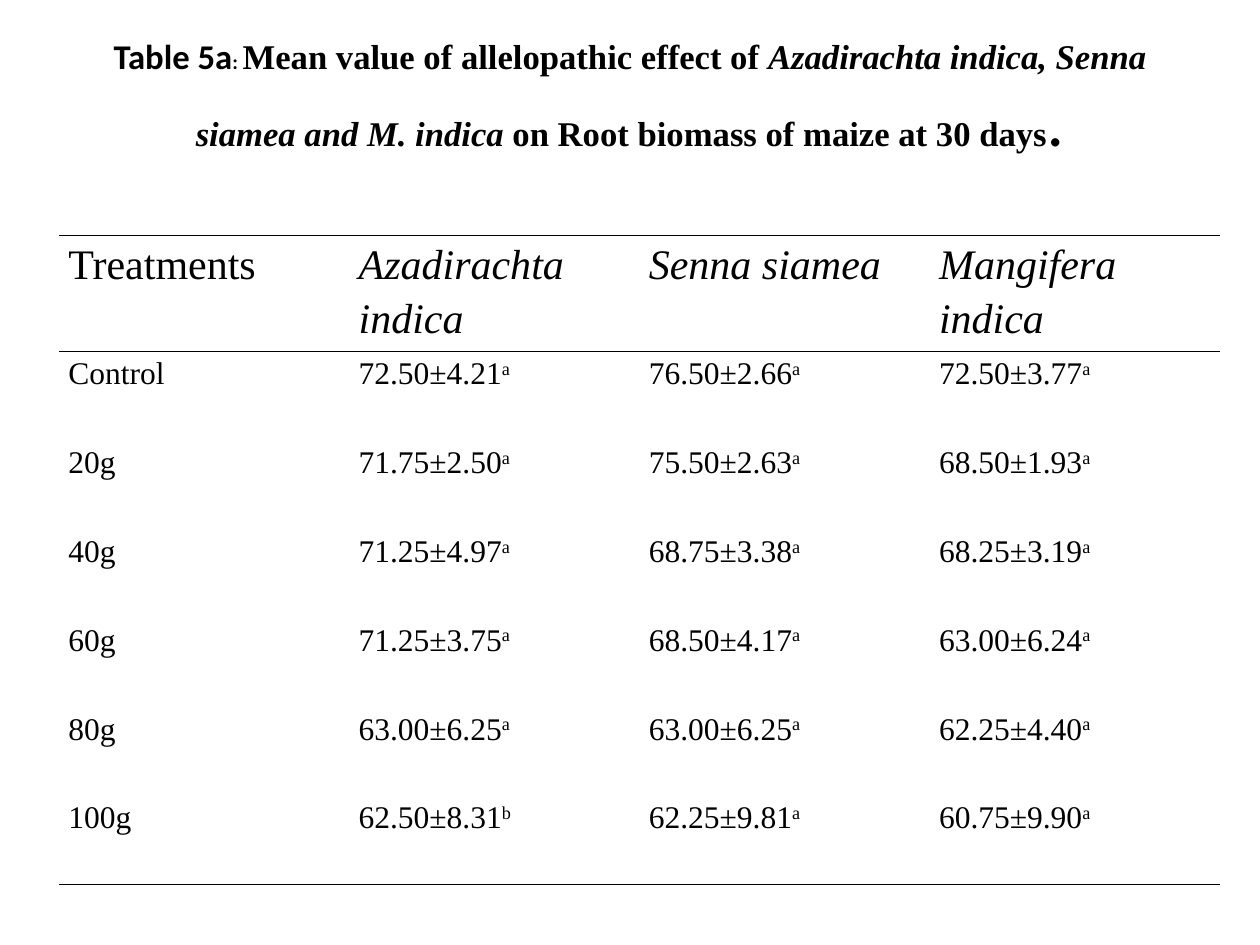
from dataclasses import dataclass, field

from lxml.etree import SubElement
from pptx import Presentation
from pptx.dml.color import RGBColor
from pptx.enum.text import MSO_ANCHOR as Anchor, PP_ALIGN as Align
from pptx.oxml.ns import qn
from pptx.util import Cm, Pt

BLACK = RGBColor(0x00, 0x00, 0x00)
SERIF, SANS = "Times New Roman", "Calibri"
COLUMN_WIDTH = Cm(5.85)
HEADER_HEIGHT, BODY_HEIGHT = Cm(2.16), Cm(1.79)


@dataclass
class Span:
    text: str
    size: float
    format: dict = field(default_factory=dict)
    raised: bool = False


@dataclass
class Treatment:
    dose: str
    means: list[str]
    groups: str = "aaa"  # significance letter of each mean


TITLE = [
    Span("Table 5a", 19.8, {"name": SANS, "bold": True}),
    Span(": ", 11.7, {"name": SANS, "bold": True}),
    Span("Mean value of allelopathic effect of ", 19.8, {"bold": True}),
    Span("Azadirachta indica, Senna siamea and M. indica", 19.8,
         {"bold": True, "italic": True}),
    Span(" on Root biomass of maize at 30 days", 19.8, {"bold": True}),
    Span(".", 39.6, {"name": SANS}),
]
SPECIES = ["Azadirachta indica", "Senna siamea", "Mangifera indica"]
TREATMENTS = [
    Treatment("Control", ["72.50±4.21", "76.50±2.66", "72.50±3.77"]),
    Treatment("20g", ["71.75±2.50", "75.50±2.63", "68.50±1.93"]),
    Treatment("40g", ["71.25±4.97", "68.75±3.38", "68.25±3.19"]),
    Treatment("60g", ["71.25±3.75", "68.50±4.17", "63.00±6.24"]),
    Treatment("80g", ["63.00±6.25", "63.00±6.25", "62.25±4.40"]),
    Treatment("100g", ["62.50±8.31", "62.25±9.81", "60.75±9.90"], "baa"),
]


def write_spans(paragraph, spans: list[Span]) -> None:
    for span in spans:
        run = paragraph.add_run()
        run.text = span.text
        run.font.color.rgb = BLACK
        values = {"name": SERIF, "size": Pt(span.size), "bold": False,
                  "italic": False} | span.format
        for key, value in values.items():
            setattr(run.font, key, value)
        if span.raised:
            run._r.get_or_add_rPr().set("baseline", "30000")


def rule_cell(cell, ruled_sides: str) -> None:
    """Draw black rules on the named sides and leave the others open."""
    properties = cell._tc.get_or_add_tcPr()
    for side in "LRTB":
        line = SubElement(properties, qn(f"a:ln{side}"), w=str(Pt(1)))
        if side in ruled_sides:
            fill = SubElement(line, qn("a:solidFill"))
            SubElement(fill, qn("a:srgbClr"), val=str(BLACK))
        else:
            SubElement(line, qn("a:noFill"))


def fill_cell(cell, spans: list[Span], ruled_sides: str) -> None:
    rule_cell(cell, ruled_sides)
    cell.fill.background()
    layout = {"margin_left": Cm(0.19), "margin_right": Cm(0.19),
              "margin_top": 0, "margin_bottom": 0,
              "vertical_anchor": Anchor.TOP}
    for key, value in layout.items():
        setattr(cell, key, value)
    paragraph = cell.text_frame.paragraphs[0]
    paragraph.line_spacing = 1.15
    write_spans(paragraph, spans)


def add_title(slide) -> None:
    frame = slide.shapes.add_textbox(Cm(1.27), 0, Cm(22.86), Cm(3.94)).text_frame
    layout = {"word_wrap": True, "vertical_anchor": Anchor.MIDDLE,
              "margin_left": Cm(0.5), "margin_right": Cm(0.5)}
    for key, value in layout.items():
        setattr(frame, key, value)
    frame.paragraphs[0].alignment = Align.CENTER
    write_spans(frame.paragraphs[0], TITLE)


def add_biomass_table(slide) -> None:
    header = [[Span("Treatments", 24)]]
    header += [[Span(name, 24, {"italic": True})] for name in SPECIES]
    rows = [header]
    for treatment in TREATMENTS:
        means = [[Span(mean, 18), Span(group, 18, raised=True)]
                 for mean, group in zip(treatment.means, treatment.groups)]
        rows.append([[Span(treatment.dose, 18)]] + means)

    table = slide.shapes.add_table(
        len(rows), len(header), Cm(1.19), Cm(4.75), COLUMN_WIDTH * len(header),
        HEADER_HEIGHT + BODY_HEIGHT * len(TREATMENTS)).table
    table.first_row = table.horz_banding = False
    for column in table.columns:
        column.width = COLUMN_WIDTH
    # Rules frame the header and close the last row
    ruled_sides = {0: "TB", 1: "T", len(rows) - 1: "B"}
    for index, row in enumerate(rows):
        table.rows[index].height = BODY_HEIGHT if index else HEADER_HEIGHT
        for cell, spans in zip(table.rows[index].cells, row):
            fill_cell(cell, spans, ruled_sides.get(index, ""))


def main() -> None:
    deck = Presentation()
    deck.slide_width, deck.slide_height = Cm(25.4), Cm(19.05)
    slide = deck.slides.add_slide(deck.slide_layouts[6])
    add_title(slide)
    add_biomass_table(slide)
    deck.save("out.pptx")


if __name__ == "__main__":
    main()
